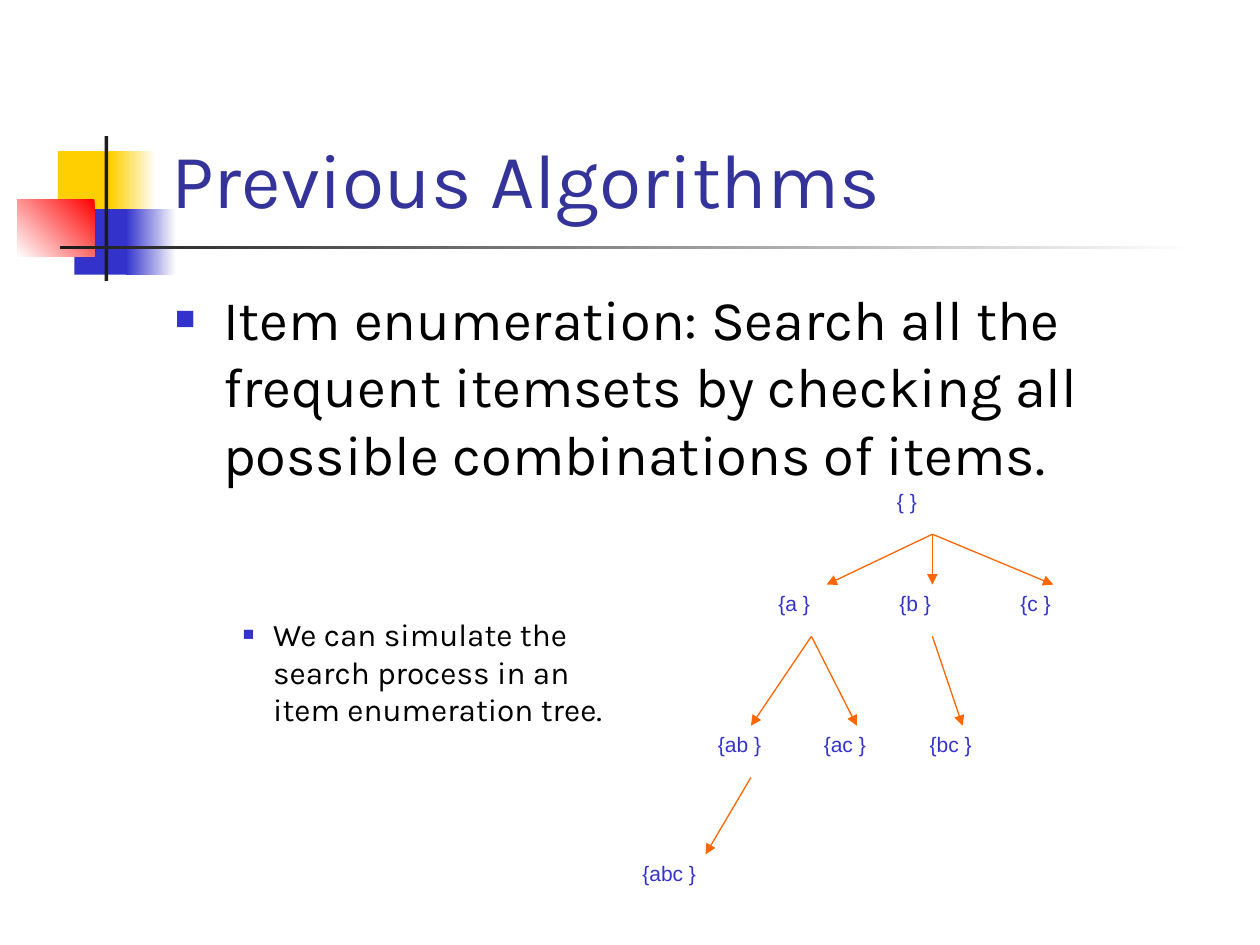
from lxml import etree
from pptx import Presentation
from pptx.dml.color import RGBColor
from pptx.enum import shapes, text
from pptx.oxml import ns
from pptx.util import Inches, Pt

COLORS = {
    "yellow": "FFCF01", "blue": "3333CC", "red": "FF0000", "white": "FFFFFF",
    "dark": "1C1C1C", "title": "333399", "black": "000000", "arrow": "FF6600",
}

# label: (left, top, width, arrow-in x, arrow-out x), inches within the tree box
NODES = {
    "{ }": (2.02, 0, 1.21, None, 2.4),
    "{a }": (1.08, 0.81, 0.84, 1.56, 1.44),
    "{b }": (2.04, 0.81, 0.84, 2.4, 2.4),
    "{c }": (3, 0.81, 0.84, 3.36, None),
    "{ab }": (0.6, 1.93, 0.84, 0.96, 0.96),
    "{ac }": (1.44, 1.93, 0.84, 1.8, None),
    "{bc }": (2.28, 1.93, 0.84, 2.64, None),
    "{abc }": (0, 2.95, 1.08, 0.6, None),
}
EDGES = [
    ("{ }", "{a }"), ("{ }", "{b }"), ("{ }", "{c }"),
    ("{a }", "{ab }"), ("{a }", "{ac }"), ("{b }", "{bc }"),
    ("{ab }", "{abc }"),
]
ARROW_DROP = 0.41


def rgb(name):
    return RGBColor.from_string(COLORS[name])


def place(shape, left, top, width, height):
    shape.left, shape.top = Inches(left), Inches(top)
    shape.width, shape.height = Inches(width), Inches(height)


def write(shape, words, size, font, color):
    """Fill a shape with one left-aligned paragraph and return it."""
    frame = shape.text_frame
    frame.word_wrap = True
    frame.auto_size = text.MSO_AUTO_SIZE.NONE
    paragraph = frame.paragraphs[0]
    paragraph.alignment = text.PP_ALIGN.LEFT
    paragraph.space_before = Pt(0)
    run = paragraph.add_run()
    run.text = words
    run.font.size, run.font.name = Pt(size), font
    run.font.color.rgb = rgb(color)
    return paragraph


def add_bullet(paragraph, indent):
    """Give a paragraph a small blue square with a hanging indent."""
    properties = paragraph._p.get_or_add_pPr()
    properties.set("marL", str(Inches(indent)))
    properties.set("indent", str(-Inches(indent)))
    color = etree.SubElement(properties, ns.qn("a:buClr"))
    etree.SubElement(color, ns.qn("a:srgbClr"), val=COLORS["blue"])
    etree.SubElement(properties, ns.qn("a:buSzPct"), val="60000")
    etree.SubElement(properties, ns.qn("a:buFont"), typeface="Arial")
    etree.SubElement(properties, ns.qn("a:buChar"), char="■")


def add_block(slide, box, colors, angle=180):
    """Add a borderless rectangle: one colour is solid, two make a gradient."""
    left, top, width, height = map(Inches, box)
    block = slide.shapes.add_shape(
        shapes.MSO_SHAPE.RECTANGLE, left, top, width, height)
    block.shadow.inherit = False
    block.line.fill.background()
    if len(colors) == 1:
        block.fill.solid()
        block.fill.fore_color.rgb = rgb(colors[0])
        return
    block.fill.gradient()
    block.fill.gradient_angle = angle
    for stop, color in zip(block.fill.gradient_stops, colors):
        stop.color.rgb = rgb(color)


def add_ornament(slide, left, top):
    for x, y, width, height, colors, angle in [
        (0.32, 0.12, 0.48, 0.52, ["yellow"], 0),
        (0.74, 0.12, 0.36, 0.52, ["white", "yellow"], 180),
        (0.45, 0.58, 0.46, 0.52, ["blue"], 0),
        (0.86, 0.58, 0.4, 0.52, ["white", "blue"], 180),
        (0, 0.5, 0.61, 0.46, ["red", "white"], 225),
        (0.69, 0, 0.03, 1.15, ["dark"], 0),
        (0.34, 0.87, 9, 0.03, ["white", "dark"], 180),
    ]:
        add_block(slide, (left + x, top + y, width, height), colors, angle)


def add_title(slide, *box):
    title = slide.shapes.title
    slide.shapes._spTree.append(title._element)  # in front of the ornament
    place(title, *box)
    title.text_frame.vertical_anchor = text.MSO_ANCHOR.BOTTOM
    write(title, "Previous Algorithms", 44, "Karla", "title")


def add_body(slide, *box):
    body = slide.placeholders[1]
    slide.shapes._spTree.append(body._element)
    place(body, *box)
    paragraph = write(
        body, "Item enumeration: Search all the frequent itemsets by checking "
        "all possible combinations of items.", 32, "Karla", "black")
    add_bullet(paragraph, 0.38)


def add_note(slide, *box):
    note = slide.shapes.add_textbox(*map(Inches, box))
    paragraph = write(
        note, "We can simulate the search process in an item enumeration tree.",
        18, "Karla", "black")
    add_bullet(paragraph, 0.24)


def add_arrow(slide, *ends):
    arrow = slide.shapes.add_connector(
        shapes.MSO_CONNECTOR.STRAIGHT, *map(Inches, ends))
    arrow.line.color.rgb = rgb("arrow")
    arrow.line.width = Pt(0.75)
    etree.SubElement(
        arrow.line._get_or_add_ln(), ns.qn("a:tailEnd"), type="triangle")
    etree.SubElement(arrow._element.spPr, ns.qn("a:effectLst"))


def add_tree(slide, left, top):
    for parent, child in EDGES:
        _, parent_top, _, _, start_x = NODES[parent]
        _, child_top, _, end_x, _ = NODES[child]
        add_arrow(slide, left + start_x, top + parent_top + ARROW_DROP,
                  left + end_x, top + child_top)
    for label, (x, y, width, _, _) in NODES.items():
        node = slide.shapes.add_textbox(
            Inches(left + x), Inches(top + y), Inches(width), Inches(0.3))
        write(node, label, 12, "Arial", "blue")


def main():
    presentation = Presentation()
    presentation.slide_width, presentation.slide_height = Inches(10), Inches(7.5)
    slide = presentation.slides.add_slide(presentation.slide_layouts[1])
    add_ornament(slide, 0.14, 1.08)
    add_title(slide, 1.26, 0.23, 8.52, 1.6)
    add_body(slide, 1.29, 2.21, 8.5, 1.71)
    add_tree(slide, 5, 3.83)
    add_note(slide, 1.83, 4.83, 3.17, 1.46)
    presentation.save("out.pptx")


if __name__ == "__main__":
    main()
